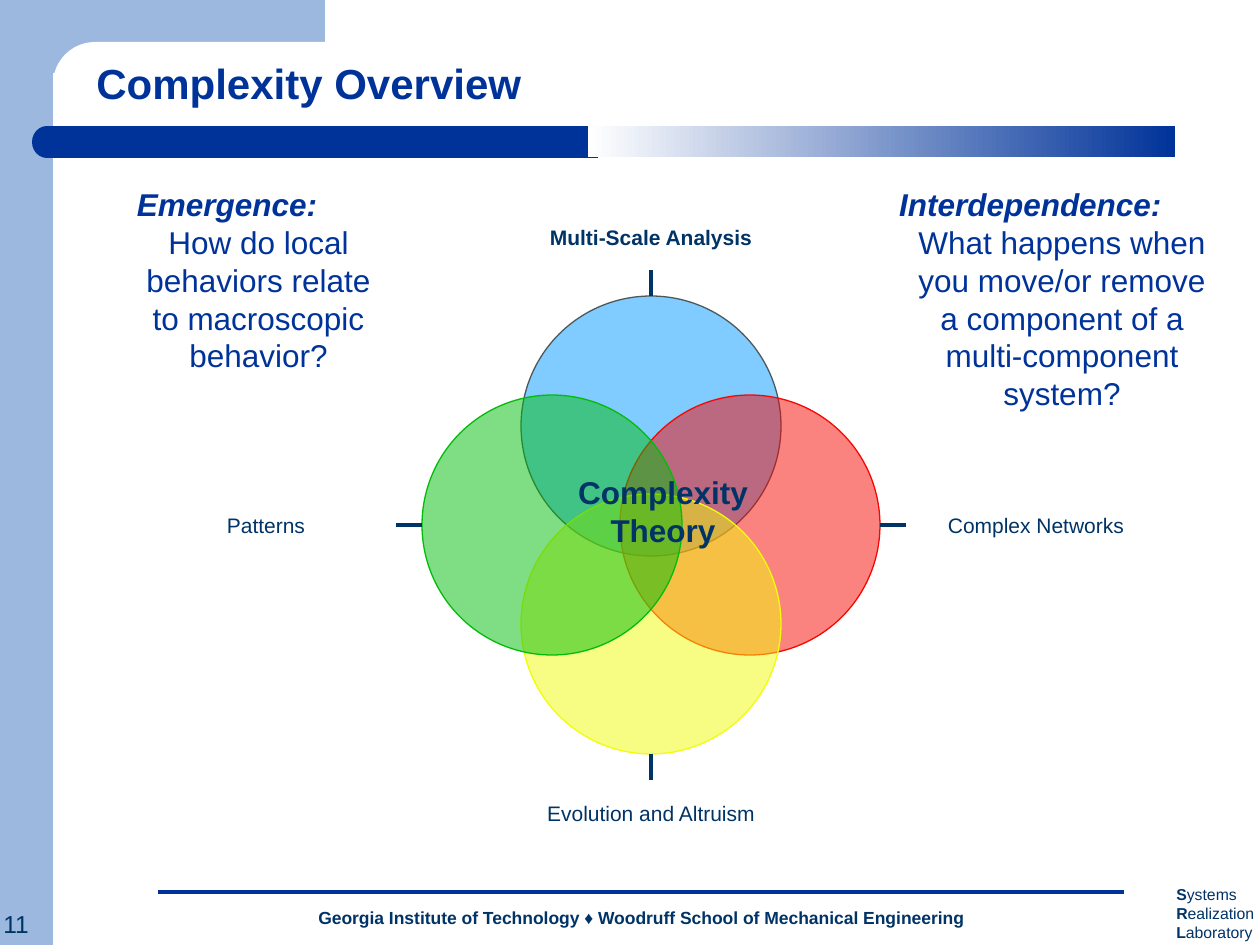
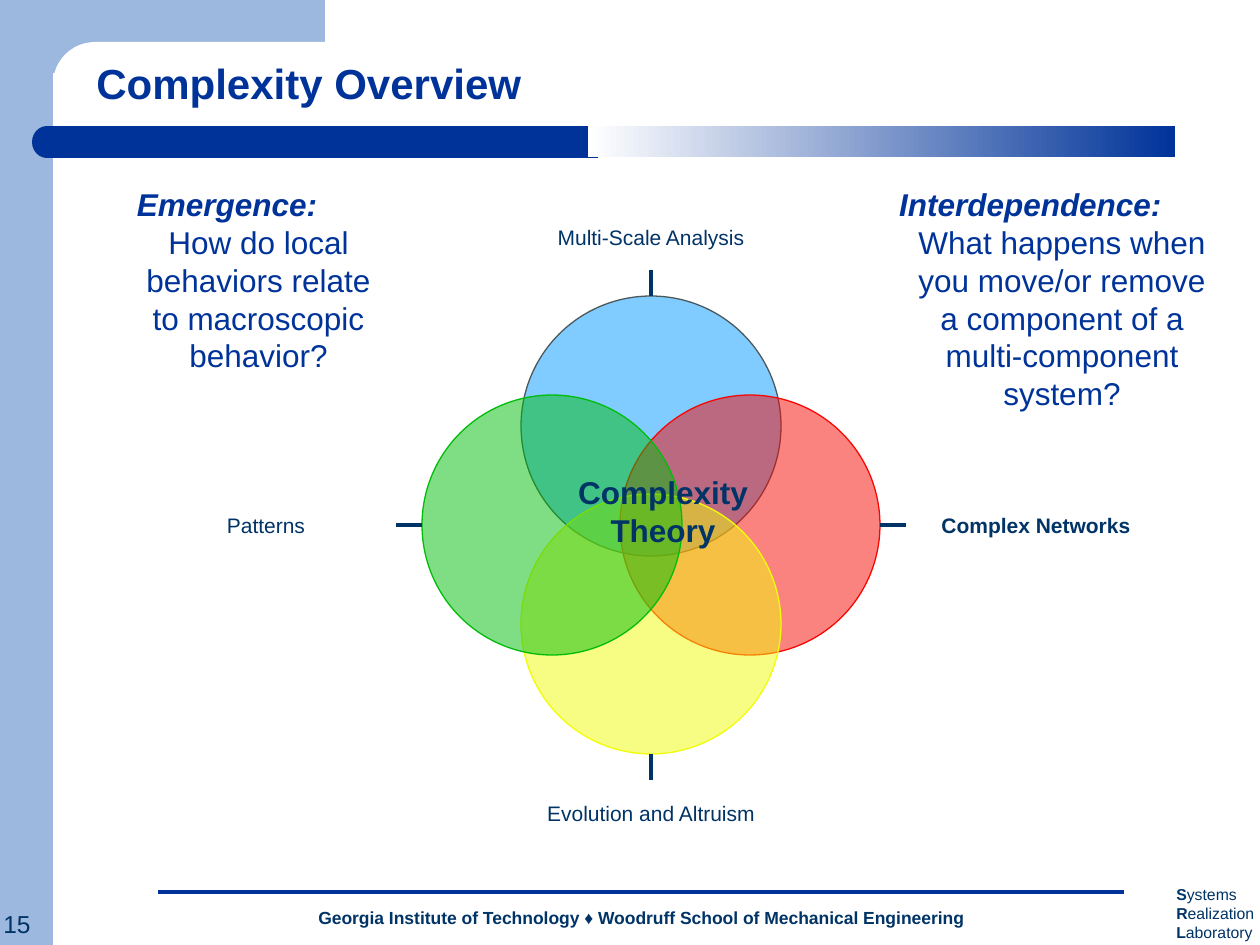
from lxml.etree import SubElement
from pptx import Presentation
from pptx.dml.color import RGBColor
from pptx.enum.shapes import MSO_CONNECTOR, MSO_SHAPE
from pptx.enum.text import MSO_ANCHOR, PP_ALIGN
from pptx.oxml.ns import qn
from pptx.util import Emu, Pt

PX_PER_INCH = 126
FONT = "Arial"

WHITE = RGBColor(0xFF, 0xFF, 0xFF)
PALE_BLUE = RGBColor(0x9D, 0xB8, 0xDF)
ROYAL_BLUE = RGBColor(0x00, 0x33, 0x99)
NAVY = RGBColor(0x00, 0x33, 0x66)
SKY = RGBColor(0x03, 0x99, 0xFF)
SLATE = RGBColor(0x4B, 0x59, 0x5B)
RED = RGBColor(0xF6, 0x08, 0x02)
YELLOW = RGBColor(0xF1, 0xFD, 0x09)
GREEN = RGBColor(0x01, 0xBD, 0x0A)

CENTER_X, CENTER_Y = 651, 525
RADIUS = 130
OFFSET = 99
TICK = 26
LABEL_HEIGHT = 66

FIELDS = [
    ("Multi-Scale Analysis", 0, -1, SKY, SLATE),
    ("Complex Networks", 1, 0, RED, RED),
    ("Evolution and Altruism", 0, 1, YELLOW, YELLOW),
    ("Patterns", -1, 0, GREEN, GREEN),
]


def px(count):
    return Emu(round(count * 914400 / PX_PER_INCH))


def add_block(page, kind, left, top, width, height, color=None):
    block = page.shapes.add_shape(kind, px(left), px(top), px(width), px(height))
    block.shadow.inherit = False
    block.line.fill.background()
    if color is not None:
        block.fill.solid()
        block.fill.fore_color.rgb = color
    return block


def add_line(page, x1, y1, x2, y2, color):
    line = page.shapes.add_connector(
        MSO_CONNECTOR.STRAIGHT, px(x1), px(y1), px(x2), px(y2))
    line.line.color.rgb = color
    line.line.width = Pt(2.25)
    SubElement(line._element.spPr, qn("a:effectLst"))


def add_box(page, left, top, width, height, anchor=MSO_ANCHOR.TOP):
    box = page.shapes.add_textbox(px(left), px(top), px(width), px(height))
    frame = box.text_frame
    frame.word_wrap = True
    frame.vertical_anchor = anchor
    return frame


def add_span(para, text, size, color=NAVY, bold=False, italic=False):
    span = para.add_run()
    span.text = text
    font = span.font
    font.name = FONT
    font.size = Pt(size)
    font.color.rgb = color
    font.bold = bold
    font.italic = italic


def add_background(page):
    add_block(page, MSO_SHAPE.RECTANGLE, 0, 0, 53, 945, PALE_BLUE)
    add_block(page, MSO_SHAPE.RECTANGLE, 42, 0, 283, 73, PALE_BLUE)
    panel = add_block(page, MSO_SHAPE.ROUNDED_RECTANGLE, 53, 42, 735, 84, WHITE)
    panel.adjustments[0] = 0.5


def add_title_bar(page):
    add_block(page, MSO_SHAPE.RECTANGLE, 60, 126, 538, 32, ROYAL_BLUE)
    cap = add_block(page, MSO_SHAPE.FLOWCHART_DELAY, 32, 126, 30, 32, ROYAL_BLUE)
    cap._element.spPr.xfrm.set("flipH", "1")
    fade = add_block(page, MSO_SHAPE.RECTANGLE, 588, 126, 587, 31)
    fade.fill.gradient()
    fade.fill.gradient_angle = 0
    for stop, position, color in zip(
            fade.fill.gradient_stops, (0, 1), (WHITE, ROYAL_BLUE)):
        stop.position = position
        stop.color.rgb = color


def add_footer(page, number):
    para = add_box(page, 116, 903, 1050, 32).paragraphs[0]
    para.alignment = PP_ALIGN.CENTER
    para.line_spacing = 0.9
    add_span(para, "Georgia Institute of Technology ♦ "
                   "Woodruff School of Mechanical Engineering", 10, bold=True)
    add_span(add_box(page, -9, 903, 62, 43).paragraphs[0], str(number), 14)
    add_line(page, 158, 892, 1124, 892, ROYAL_BLUE)
    para = add_box(page, 1164, 879, 113, 69).paragraphs[0]
    for initial, rest in (("S", "ystems"), (" R", "ealization"), (" L", "aboratory")):
        add_span(para, initial, 9, bold=True)
        add_span(para, rest, 9)


def add_title(page, text):
    para = add_box(page, 84, 42, 1103, 73, MSO_ANCHOR.BOTTOM).paragraphs[0]
    para.line_spacing = 0.9
    add_span(para, text, 24, ROYAL_BLUE, bold=True)


def add_circle(page, x, y, fill, outline):
    circle = add_block(page, MSO_SHAPE.OVAL, x - RADIUS, y - RADIUS,
                       2 * RADIUS, 2 * RADIUS, fill)
    color = circle._element.spPr.find(qn("a:solidFill"))[0]
    SubElement(color, qn("a:alpha"), val="50000")
    circle.line.color.rgb = outline
    circle.line.width = Pt(0.75)


def add_label(page, x, y, text, bold):
    frame = add_box(page, x - RADIUS, y - LABEL_HEIGHT // 2,
                    2 * RADIUS, LABEL_HEIGHT, MSO_ANCHOR.MIDDLE)
    frame.word_wrap = False
    frame.margin_left = frame.margin_right = 0
    frame.margin_top = frame.margin_bottom = 0
    para = frame.paragraphs[0]
    para.alignment = PP_ALIGN.CENTER
    add_span(para, text, 12, bold=bold)


def add_venn(page, highlight):
    edge = OFFSET + RADIUS
    tip = edge + TICK
    for text, dx, dy, fill, outline in FIELDS:
        add_circle(page, CENTER_X + dx * OFFSET, CENTER_Y + dy * OFFSET, fill, outline)
        reach = tip + (RADIUS if dx else LABEL_HEIGHT // 2)
        add_label(page, CENTER_X + dx * reach, CENTER_Y + dy * reach,
                  text, text == highlight)
    for text, dx, dy, fill, outline in FIELDS:
        add_line(page, CENTER_X + dx * edge, CENTER_Y + dy * edge,
                 CENTER_X + dx * tip, CENTER_Y + dy * tip, NAVY)
    para = add_box(page, 545, 467, 236, 88).paragraphs[0]
    para.alignment = PP_ALIGN.CENTER
    add_span(para, "Complexity Theory", 18, bold=True)


def add_question(page, left, width, height, heading, question):
    frame = add_box(page, left, 179, width, height)
    para = frame.paragraphs[0]
    para.alignment = PP_ALIGN.CENTER
    add_span(para, heading, 18, ROYAL_BLUE, bold=True, italic=True)
    para = frame.add_paragraph()
    para.alignment = PP_ALIGN.CENTER
    para.level = 1
    properties = para._p.get_or_add_pPr()
    properties.set("marL", str(px(63)))
    properties.set("indent", "0")
    add_span(para, question, 18, ROYAL_BLUE)


def add_overview(deck, number, highlight):
    page = deck.slides.add_slide(deck.slide_layouts[6])
    add_background(page)
    add_title_bar(page)
    add_footer(page, number)
    add_title(page, "Complexity Overview")
    add_venn(page, highlight)
    add_question(page, 843, 375, 239, "Interdependence:",
                 "What happens when you move/or remove a component "
                 "of a multi-component system?")
    add_question(page, 57, 340, 260, "Emergence:",
                 "How do local behaviors relate to macroscopic behavior?")


def main():
    deck = Presentation()
    deck.slide_width = px(1260)
    deck.slide_height = px(945)
    add_overview(deck, 11, "Multi-Scale Analysis")
    add_overview(deck, 15, "Complex Networks")
    deck.save("out.pptx")


if __name__ == "__main__":
    main()
